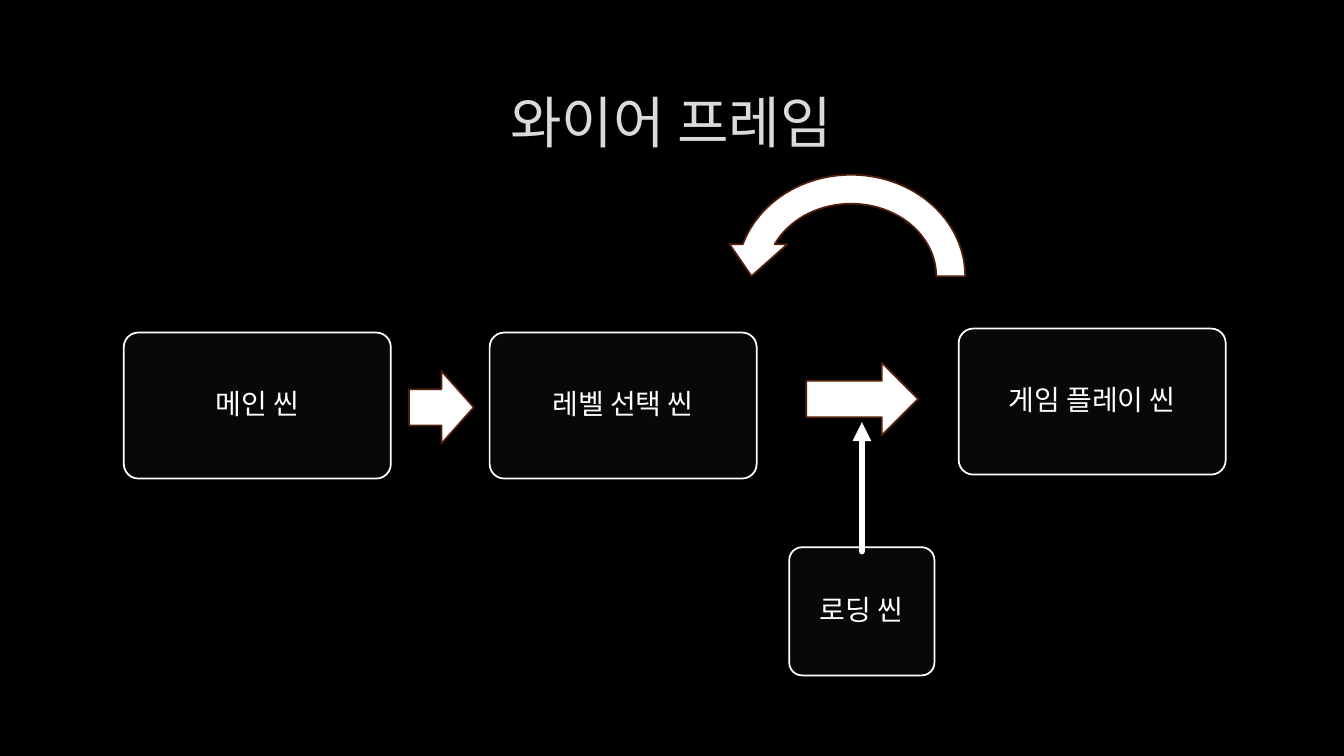
from lxml.etree import SubElement
from pptx import Presentation
from pptx.dml.color import RGBColor
from pptx.enum.shapes import MSO_CONNECTOR, MSO_SHAPE
from pptx.enum.text import MSO_ANCHOR, PP_ALIGN
from pptx.oxml.ns import qn
from pptx.util import Cm, Pt

FONT = "Noto Sans CJK KR"


def paint(part, color):
    part.solid()
    part.fore_color.rgb = RGBColor.from_string(color)


def write(shape, text, size, color):
    frame = shape.text_frame
    frame.word_wrap = True
    frame.vertical_anchor = MSO_ANCHOR.MIDDLE
    frame.text = text
    para = frame.paragraphs[0]
    para.alignment = PP_ALIGN.CENTER
    para.font.name = FONT
    para.font.size = Pt(size)
    paint(para.font.fill, color)
    props = para._p.get_or_add_pPr().find(qn("a:defRPr"))
    SubElement(props, qn("a:ea"), typeface=FONT)
    return para


deck = Presentation()
deck.slide_width = Cm(33.87)
deck.slide_height = Cm(19.05)
slide = deck.slides.add_slide(deck.slide_layouts[5])
paint(slide.background.fill, "000000")

title = slide.shapes.title
title.left, title.top = Cm(2.54), Cm(1.7)
title.width, title.height = Cm(28.75), Cm(2.69)
write(title, "와이어 프레임", 40, "DADADA")

scenes = [
    ("메인 씬", 3.12, 8.38, 6.73, 3.68),
    ("레벨 선택 씬", 12.34, 8.38, 6.73, 3.68),
    ("게임 플레이 씬", 24.16, 8.28, 6.73, 3.68),
    ("로딩 씬", 19.89, 13.79, 3.66, 3.23),
]
for text, *place in scenes:
    box = slide.shapes.add_shape(MSO_SHAPE.ROUNDED_RECTANGLE, *map(Cm, place))
    box.adjustments[0] = 0.1
    box.shadow.inherit = False
    paint(box.fill, "080809")
    paint(box.line.fill, "FFFFFF")
    box.line.width = Pt(1.25)
    frame = box.text_frame
    frame.margin_left = frame.margin_right = Cm(0.33)
    frame.margin_top = frame.margin_bottom = Cm(0.3)
    para = write(box, text, 20, "FFFFFF")
    para.line_spacing = 0.9
    para.space_after = Pt(7)

arrows = [
    (MSO_SHAPE.RIGHT_ARROW, 10.31, 9.35, 1.63, 1.83),
    (MSO_SHAPE.RIGHT_ARROW, 20.32, 9.14, 2.82, 1.83),
    (MSO_SHAPE.CIRCULAR_ARROW, 18.21, 4.04, 6.48, 5.84),
]
for kind, *place in arrows:
    arrow = slide.shapes.add_shape(kind, *map(Cm, place))
    arrow.shadow.inherit = False
    paint(arrow.fill, "FFFFFF")
    paint(arrow.line.fill, "521E0C")
    arrow.line.width = Pt(1.25)
    if kind == MSO_SHAPE.CIRCULAR_ARROW:
        arrow._element.spPr.find(qn("a:xfrm")).set("flipH", "1")

link = slide.shapes.add_connector(
    MSO_CONNECTOR.STRAIGHT, Cm(21.72), Cm(13.89), Cm(21.72), Cm(10.64))
paint(link.line.fill, "FFFFFF")
link.line.width = Pt(4.5)
stroke = link.line._get_or_add_ln()
stroke.set("cap", "rnd")
SubElement(stroke, qn("a:round"))
SubElement(stroke, qn("a:tailEnd"), type="triangle")
SubElement(link._element.spPr, qn("a:effectLst"))

deck.save("out.pptx")
